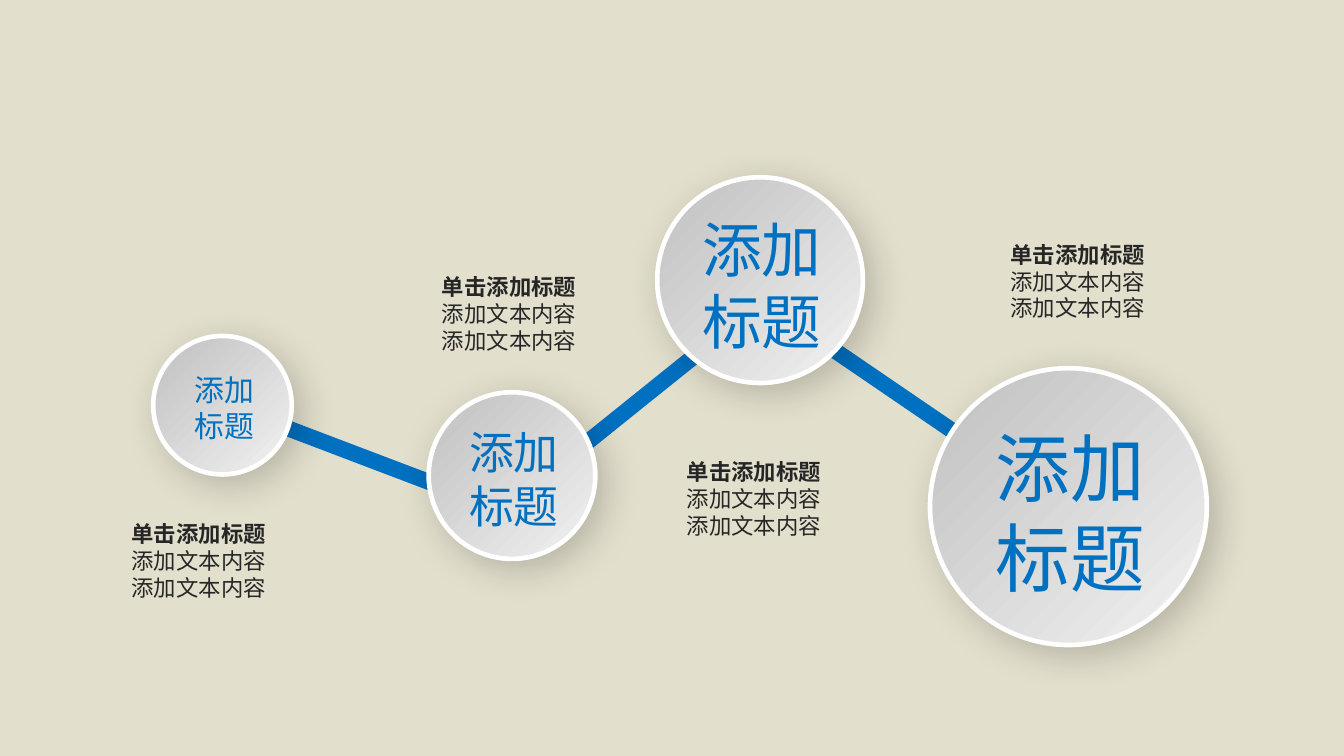
from dataclasses import dataclass

from lxml.etree import SubElement
from pptx import Presentation
from pptx.dml.color import RGBColor as RGB
from pptx.enum.shapes import MSO_SHAPE as SHAPE
from pptx.enum.text import PP_ALIGN as ALIGN
from pptx.oxml import parse_xml
from pptx.oxml.ns import nsdecls, qn
from pptx.util import Pt


@dataclass(frozen=True)
class Theme:
    background: RGB = RGB(0xE2, 0xDF, 0xCC)
    accent: RGB = RGB(0x00, 0x70, 0xC0)
    text: RGB = RGB(0x26, 0x26, 0x26)
    rim: RGB = RGB(0xFF, 0xFF, 0xFF)
    grad_start: RGB = RGB(0xBF, 0xBF, 0xBF)
    grad_end: RGB = RGB(0xF2, 0xF2, 0xF2)
    font: str = "Noto Sans CJK SC"
    body: int = 12
    leading: float = 1.2


THEME = Theme()
BARS = [(194.4, 244.8, 20.8), (343.4, 213.8, -38.8), (475.9, 207.4, 34.3)]
CIRCLES = [
    (119.2, 217.1, 74.2, 59.8, 16),
    (274.3, 254.8, 89.3, 77.8, 24),
    (407.2, 150.1, 110.2, 87.8, 32),
    (572.4, 271.4, 148.3, 102.2, 40),
]
CAPTIONS = [(65.5, 275.8), (231.8, 143.4), (362.9, 242.7), (536.4, 126.1)]


def add_text(shapes, lines, x, y, w, h, size, color, align=ALIGN.LEFT,
             bold_first=False, margins=(7.2, 3.6)):
    tf = shapes.add_textbox(Pt(x), Pt(y), Pt(w), Pt(h)).text_frame
    tf.word_wrap = True
    tf.margin_left = tf.margin_right = Pt(margins[0])
    tf.margin_top = tf.margin_bottom = Pt(margins[1])
    for i, line in enumerate(lines):
        p = tf.add_paragraph() if i else tf.paragraphs[0]
        p.alignment = align
        p.line_spacing = Pt(size * THEME.leading)
        r = p.add_run()
        r.text = line
        r.font.size = Pt(size)
        r.font.bold = bold_first and i == 0
        r.font.color.rgb = color
        r.font.name = THEME.font
        SubElement(r.font._element, qn("a:ea"), typeface=THEME.font)


def add_bar(shapes, cx, cy, angle, w=96.5, h=8.6):
    sp = shapes.add_shape(SHAPE.RECTANGLE, Pt(cx - w / 2), Pt(cy - h / 2), Pt(w), Pt(h))
    sp.rotation = angle
    sp.shadow.inherit = False
    sp.fill.solid()
    sp.fill.fore_color.rgb = THEME.accent
    sp.line.fill.background()


def add_soft_shadow(sp):
    sp.shadow.inherit = False
    effects = sp._element.spPr.find(qn("a:effectLst"))
    effects.append(parse_xml(
        f'<a:outerShdw {nsdecls("a")} blurRad="{Pt(20)}" dist="{Pt(6)}" dir="2700000" '
        'algn="tl" rotWithShape="0"><a:srgbClr val="000000">'
        '<a:alpha val="20000"/></a:srgbClr></a:outerShdw>'))


def add_circle(shapes, cx, cy, d, label_w, size):
    group = shapes.add_group_shape().shapes
    sp = group.add_shape(SHAPE.OVAL, Pt(cx - d / 2), Pt(cy - d / 2), Pt(d), Pt(d))
    sp.fill.gradient()
    sp.fill.gradient_angle = 315
    start, end = sp.fill.gradient_stops
    start.color.rgb, start.position = THEME.grad_start, 0
    end.color.rgb, end.position = THEME.grad_end, 1
    sp.line.color.rgb = THEME.rim
    sp.line.width = Pt(2.5)
    add_soft_shadow(sp)
    label_h = 2 * THEME.leading * size + 7.2
    add_text(group, ["添加标题"], cx + 1 - label_w / 2, cy + 0.07 * size - label_h / 2,
             label_w, label_h, size, THEME.accent, align=ALIGN.CENTER)


def add_caption(shapes, x, y):
    add_text(shapes, ["单击添加标题", "添加文本内容", "添加文本内容"], x, y, 90.7, 49,
             THEME.body, THEME.text, bold_first=True, margins=(5, 2.9))


def main():
    prs = Presentation()
    prs.slide_width, prs.slide_height = Pt(720), Pt(405)
    slide = prs.slides.add_slide(prs.slide_layouts[6])
    slide.background.fill.solid()
    slide.background.fill.fore_color.rgb = THEME.background
    for bar in BARS:
        add_bar(slide.shapes, *bar)
    for circle in CIRCLES:
        add_circle(slide.shapes, *circle)
    for caption in CAPTIONS:
        add_caption(slide.shapes, *caption)
    prs.save("out.pptx")


if __name__ == "__main__":
    main()
